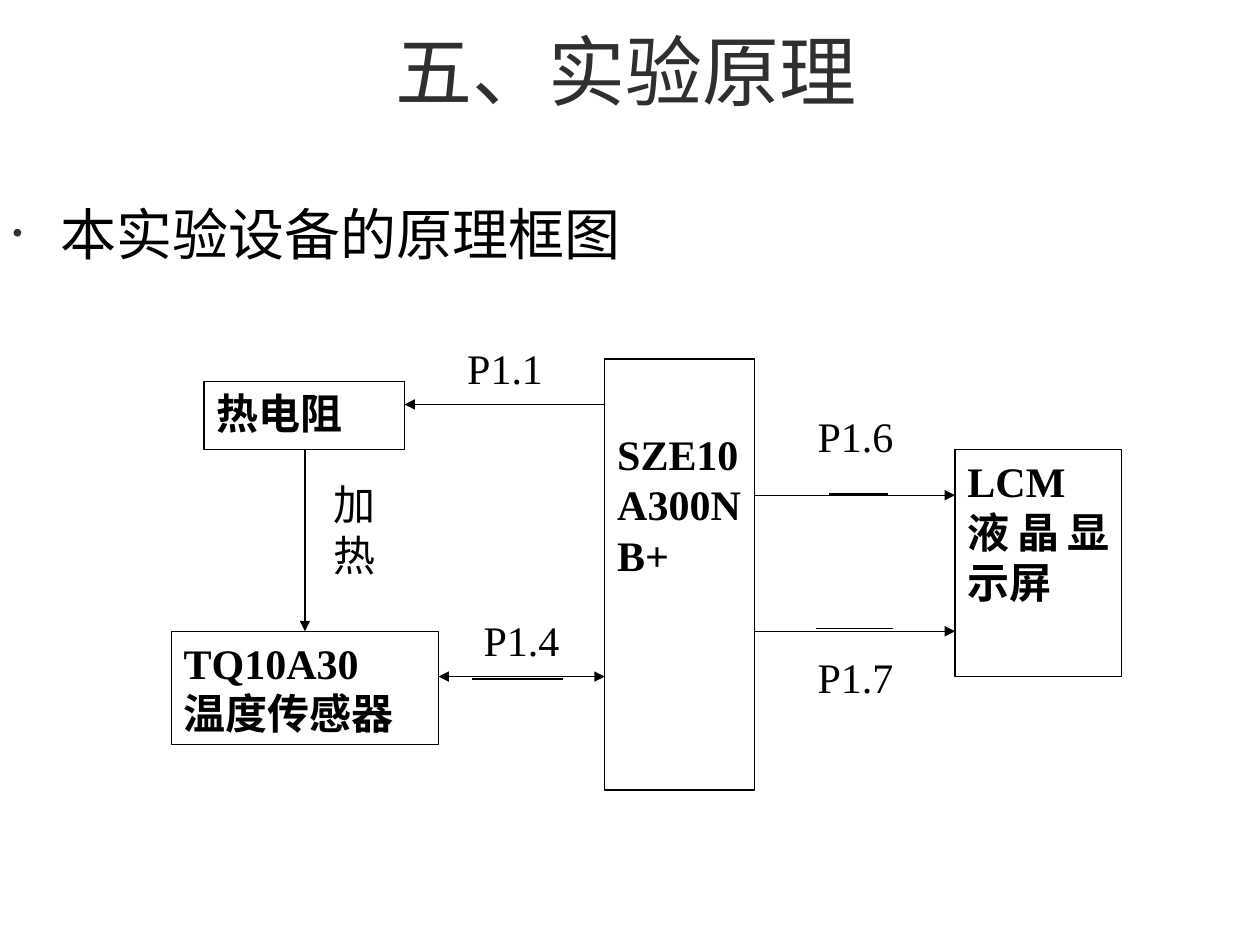
from lxml import etree
from pptx import Presentation
from pptx.dml.color import RGBColor
from pptx.enum.shapes import MSO_CONNECTOR, MSO_SHAPE
from pptx.enum.text import MSO_ANCHOR, MSO_AUTO_SIZE, PP_ALIGN
from pptx.oxml.ns import qn
from pptx.util import Pt

PX = 9144
RECTANGLE = MSO_SHAPE.RECTANGLE
CALLOUT = MSO_SHAPE.LINE_CALLOUT_1_NO_BORDER
STRAIGHT = MSO_CONNECTOR.STRAIGHT
TOP, MIDDLE = MSO_ANCHOR.TOP, MSO_ANCHOR.MIDDLE
NO_FIT = MSO_AUTO_SIZE.NONE
CENTER, JUSTIFY, LEFT = PP_ALIGN.CENTER, PP_ALIGN.JUSTIFY, PP_ALIGN.LEFT

INK, HEADING, PAPER = "000000", "2F2F2F", "FFFFFF"
HEADING_FONT, DIAGRAM_FONT = "Cabin", "Times New Roman"

BLOCKS = [
    ("热电阻", (162, 303, 159, 54), 5),
    ("TQ10A30\n温度传感器", (136, 501, 212, 90), 5),
    ("SZE10A300NB+", (480, 285, 119, 342), 55),
    ("LCM\n液晶显示屏", (758, 357, 132, 180), 5),
]
SIGNALS = [
    ((480, 321), (321, 321), ("tail",)),
    ((242, 357), (242, 501), ("tail",)),
    ((348, 537), (480, 537), ("head", "tail")),
    ((599, 393), (758, 393), ("tail",)),
    ((599, 501), (758, 501), ("tail",)),
]
LABELS = [
    ("P1.1", (361, 267, 106, 54), (352, 321), (447, 321)),
    ("P1.4", (374, 483, 93, 43), (375, 539), (447, 539)),
    ("加热", (255, 375, 66, 106), (242, 453), (242, 395)),
    ("P1.6", (639, 321, 86, 58), (658, 392), (705, 392)),
    ("P1.7", (639, 512, 90, 54), (648, 499), (709, 499)),
]


def color(value):
    """Turn a hex string into a colour."""
    return RGBColor.from_string(value)


def apply(target, values):
    """Set every attribute in a dict of format values."""
    for name, value in values.items():
        setattr(target, name, value)


def px(*lengths):
    """Turn pixel lengths into EMU."""
    return [length * PX for length in lengths]


def write(frame, content, size, font, ink, align, bold=False):
    """Fill a text frame with evenly formatted paragraphs."""
    frame.text = content
    for paragraph in frame.paragraphs:
        paragraph.alignment = align
        for run in paragraph.runs:
            apply(run.font, {"size": Pt(size), "name": font, "bold": bold})
            run.font.color.rgb = color(ink)


def place(placeholder, box, anchor):
    """Move a placeholder and fix its text frame."""
    apply(placeholder, dict(zip(("left", "top", "width", "height"), px(*box))))
    apply(placeholder.text_frame,
          {"word_wrap": True, "auto_size": NO_FIT, "vertical_anchor": anchor})


def add_title(slide, content):
    """Format the title placeholder."""
    title = slide.shapes.title
    place(title, (47, 16, 900, 79), MIDDLE)
    write(title.text_frame, content, 44, HEADING_FONT, HEADING, CENTER)


def add_bullet(slide, content):
    """Format the body placeholder as a single small-bulleted line."""
    body = slide.placeholders[1]
    place(body, (0, 164, 531, 53), TOP)
    write(body.text_frame, content, 32, HEADING_FONT, INK, LEFT)
    item = body.text_frame.paragraphs[0]
    apply(item, {"line_spacing": 0.8, "space_before": Pt(8)})
    properties = item._p.get_or_add_pPr()
    indents = {"marL": 38 * PX, "indent": -38 * PX}
    for name, value in indents.items():
        properties.set(name, str(value))
    bullet_color = etree.SubElement(properties, qn("a:buClr"))
    etree.SubElement(bullet_color, qn("a:srgbClr"), val=HEADING)
    etree.SubElement(properties, qn("a:buSzPct"), val="50000")
    etree.SubElement(properties, qn("a:buChar"), char="•")


def draw_line(line):
    """Give an outline the thin diagram stroke."""
    line.color.rgb = color(INK)
    line.width = Pt(0.75)


def add_panel(slide, kind, content, box, top_inset=5, bold=False):
    """Add a white shape with justified diagram text."""
    panel = slide.shapes.add_shape(kind, *px(*box))
    panel.shadow.inherit = False
    panel.fill.solid()
    panel.fill.fore_color.rgb = color(PAPER)
    draw_line(panel.line)
    side, top, bottom = px(10, top_inset, 5)
    apply(panel.text_frame, {
        "word_wrap": True, "vertical_anchor": TOP,
        "margin_left": side, "margin_right": side,
        "margin_top": top, "margin_bottom": bottom})
    write(panel.text_frame, content, 24, DIAGRAM_FONT, INK, JUSTIFY, bold)
    return panel


def add_label(slide, content, box, start, end):
    """Add a borderless callout whose leader runs from start to end."""
    label = add_panel(slide, CALLOUT, content, box)
    left, top, width, height = box
    for index, (x, y) in enumerate((start, end)):
        label.adjustments[2 * index] = (y - top) / height
        label.adjustments[2 * index + 1] = (x - left) / width


def add_signal(slide, start, end, arrowheads):
    """Add a signal line with triangular arrowheads."""
    signal = slide.shapes.add_connector(STRAIGHT, *px(*start, *end))
    draw_line(signal.line)
    properties = signal._element.spPr
    stroke = properties.find(qn("a:ln"))
    for side in arrowheads:
        etree.SubElement(stroke, qn(f"a:{side}End"), type="triangle")
    etree.SubElement(properties, qn("a:effectLst"))


def main():
    """Build the block diagram slide."""
    deck = Presentation()
    deck.slide_width, deck.slide_height = px(1000, 750)
    slide = deck.slides.add_slide(deck.slide_layouts[1])
    add_title(slide, "五、实验原理")
    add_bullet(slide, "本实验设备的原理框图")
    for content, box, top_inset in BLOCKS:
        add_panel(slide, RECTANGLE, content, box, top_inset, bold=True)
    for signal in SIGNALS:
        add_signal(slide, *signal)
    for label in LABELS:
        add_label(slide, *label)
    deck.save("out.pptx")


if __name__ == "__main__":
    main()
